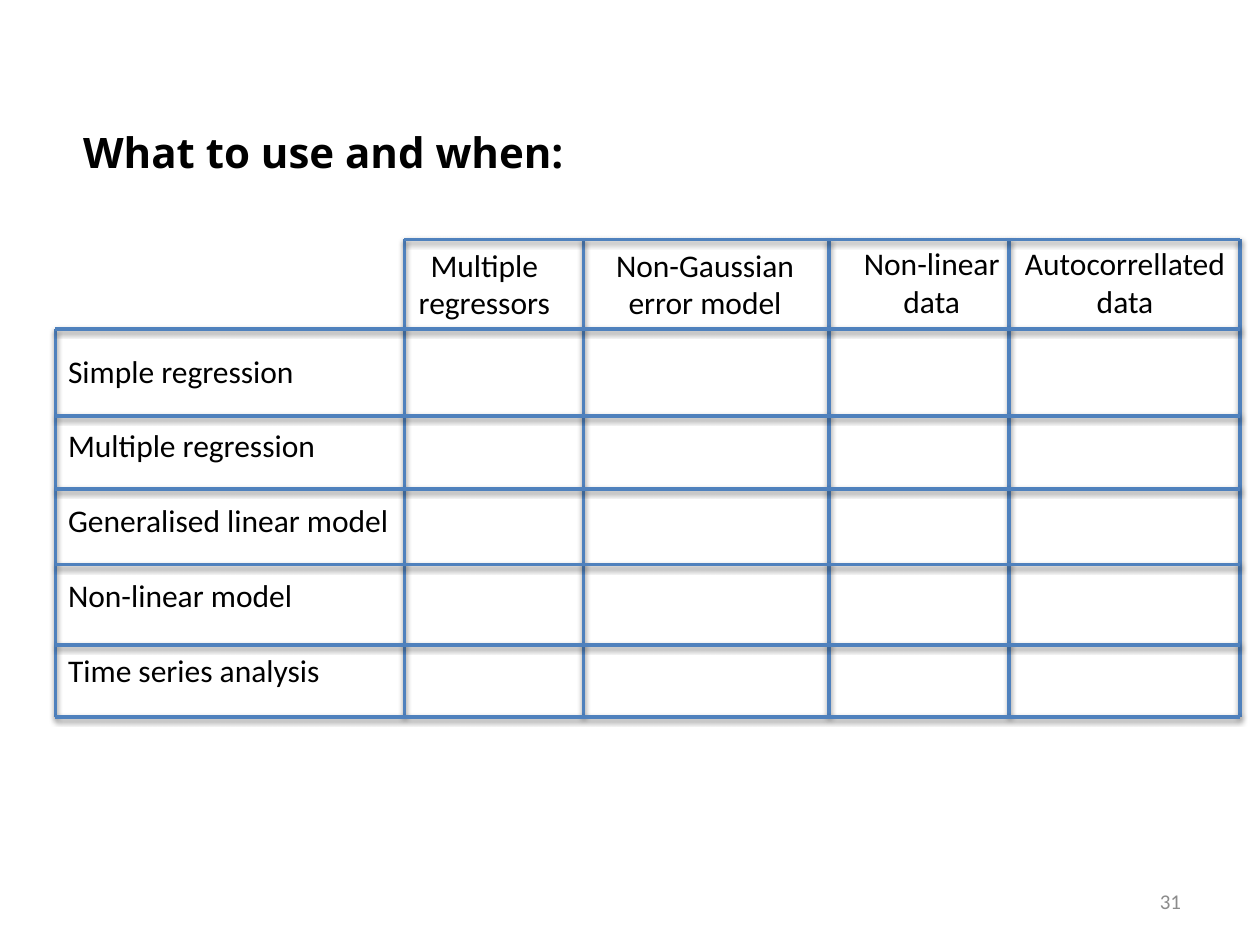
import pptx
import pptx.util
import pptx.dml.color
import pptx.enum.text
import pptx.enum.shapes
import pptx.oxml

Pt = pptx.util.Pt
ALIGN = pptx.enum.text.PP_ALIGN
ANCHOR = pptx.enum.text.MSO_ANCHOR
BLACK = pptx.dml.color.RGBColor(0x00, 0x00, 0x00)
GREY = pptx.dml.color.RGBColor(0x8C, 0x8C, 0x8C)
BLUE = pptx.dml.color.RGBColor(0x4F, 0x81, 0xBD)

DRAWING_NS = "http://schemas.openxmlformats.org/drawingml/2006/main"
SHADOW = (
    f'<a:effectLst xmlns:a="{DRAWING_NS}">'
    '<a:outerShdw blurRad="39370" dist="20320" dir="5400000" rotWithShape="0">'
    '<a:srgbClr val="000000"><a:alpha val="38000"/></a:srgbClr>'
    '</a:outerShdw></a:effectLst>'
)


def fill_text(box, place, text, size, color=BLACK, font="Calibri",
              align=ALIGN.LEFT, anchor=ANCHOR.TOP, wrap=False):
    """Place a box and set its text, one paragraph for each line."""
    box.left, box.top, box.width, box.height = [Pt(length) for length in place]
    frame = box.text_frame
    frame.text = text
    frame.word_wrap = wrap
    frame.auto_size = pptx.enum.text.MSO_AUTO_SIZE.NONE
    frame.vertical_anchor = anchor
    for para in frame.paragraphs:
        para.alignment = align
        for span in para.runs:
            span.font.name = font
            span.font.size = Pt(size)
            span.font.color.rgb = color
    return frame


def draw_rule(x1, y1, x2, y2):
    """Draw one shadowed line of the grid."""
    rule = page.shapes.add_connector(
        pptx.enum.shapes.MSO_CONNECTOR.STRAIGHT, Pt(x1), Pt(y1), Pt(x2), Pt(y2))
    rule.line.color.rgb = BLUE
    rule.line.width = Pt(2)
    rule._element.spPr.append(pptx.oxml.parse_xml(SHADOW))


deck = pptx.Presentation()
deck.slide_width, deck.slide_height = Pt(720), Pt(540)
page = deck.slides.add_slide(deck.slide_layouts[1])
title, methods = page.placeholders

# Title
frame = fill_text(title, (40.3, 68.4, 656, 94.3), "What to use and when:", 24,
                  font="Open Sans", wrap=True)
frame.paragraphs[0].runs[0].font.bold = True

# Slide number
number = page.shapes.add_textbox(0, 0, 0, 0)
fill_text(number, (514, 500.4, 168, 28.8), "31", 12, GREY,
          align=ALIGN.RIGHT, anchor=ANCHOR.MIDDLE, wrap=True)

# Row labels: the methods
method_names = ["Simple regression", "Multiple regression",
                "Generalised linear model", "Non-linear model",
                "Time series analysis"]
frame = fill_text(methods, (31.7, 197.3, 199.4, 203.8),
                  "\n".join(method_names), 18)
for para in frame.paragraphs:
    properties = para._p.get_or_add_pPr()
    properties.set("marL", "0")
    properties.set("indent", "0")
    properties.append(pptx.oxml.parse_xml(f'<a:buNone xmlns:a="{DRAWING_NS}"/>'))
    para.space_before = Pt(0)
    para.space_after = Pt(21.2)

# Column headings: the properties of the data
headings = [
    ("Multiple\nregressors", 231.1, 136.8, 91.4),
    ("Non-Gaussian\nerror model", 344.2, 136.8, 117.4),
    ("Non-linear\ndata", 486, 136.1, 92.9),
    ("Autocorrellated\ndata", 577.4, 136.1, 131),
]
for text, left, top, width in headings:
    heading = page.shapes.add_textbox(0, 0, 0, 0)
    fill_text(heading, (left, top, width, 51.1), text, 18, align=ALIGN.CENTER)

# Grid: the top left corner stays open
columns = [31.7, 231.1, 333.4, 473.8, 576.7, 708.5]
rows = [136.8, 187.9, 237.6, 279.4, 322.6, 368.6, 409.7]
for x in columns:
    draw_rule(x, rows[1] if x == columns[0] else rows[0], x, rows[-1])
for y in rows:
    draw_rule(columns[1] if y == rows[0] else columns[0], y, columns[-1], y)

deck.save("out.pptx")
